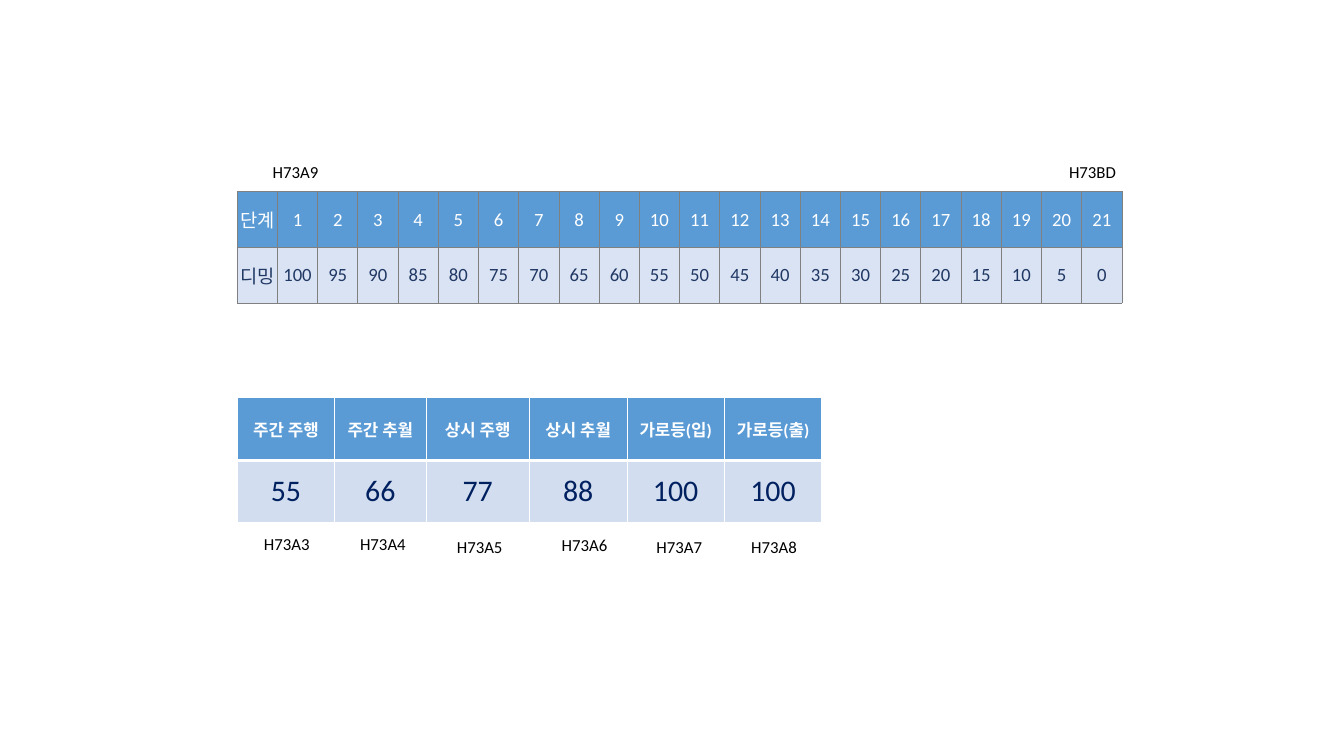
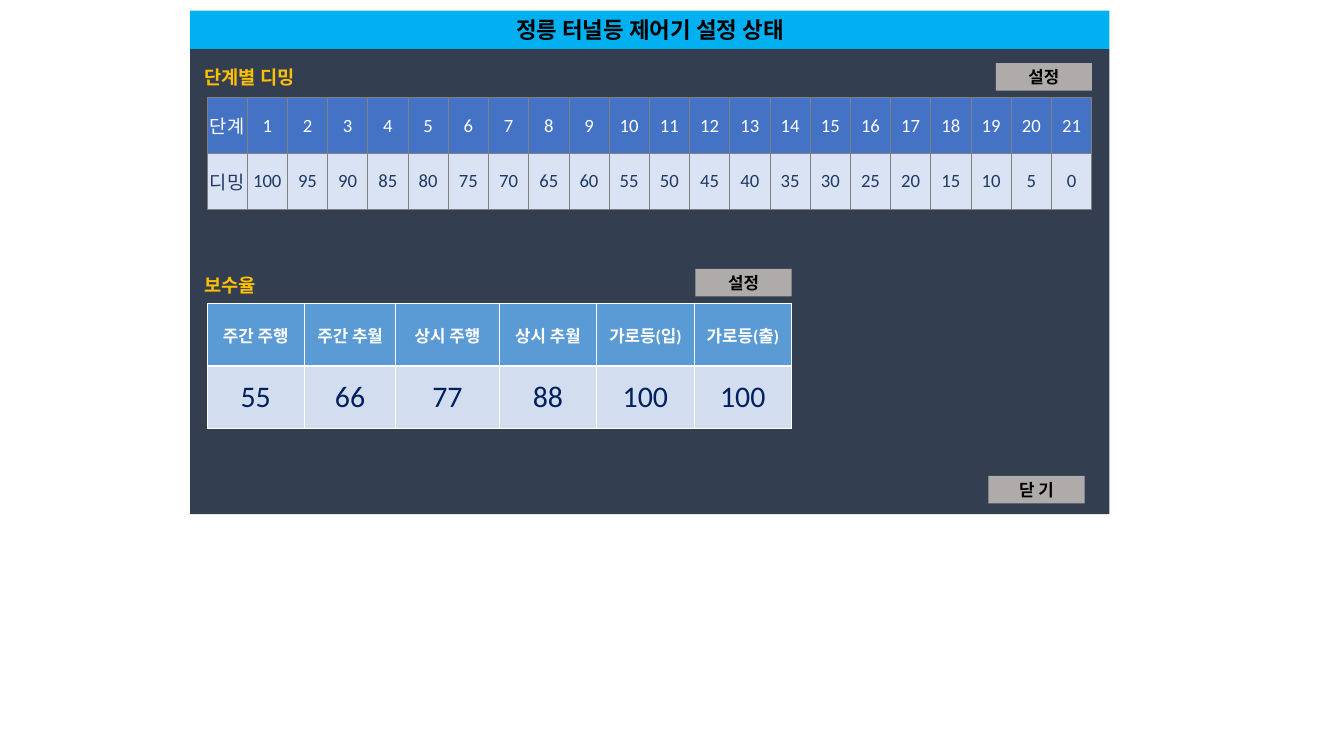
"""Build two slides on tunnel light dimming: the data tables and the settings panel."""
import pptx
import pptx.dml.color
import pptx.enum.shapes
import pptx.enum.text
import pptx.oxml
import pptx.oxml.ns
import pptx.util
from pptx.util import Inches

FONT = "Calibri"
BLACK, WHITE, GRAY = "000000", "FFFFFF", "808080"
BLUE, STRONG_BLUE = "5B9BD5", "4472C4"
PALE_BLUE, PALE_STEEL = "DAE3F3", "D2DEEF"
NAVY, DEEP_NAVY = "203864", "002060"
PANEL, SKY, BUTTON, AMBER = "333F50", "00B0F0", "AFABAB", "FFC000"

STEPS = ["단계"] + [str(step) for step in range(1, 22)]
DIMMING = ["디밍"] + [str(level) for level in range(100, -1, -5)]
LANES = [
    ("주간 주행", "55", 1.45),
    ("주간 추월", "66", 1.36),
    ("상시 주행", "77", 1.54),
    ("상시 추월", "88", 1.45),
    ("가로등(입)", "100", 1.45),
    ("가로등(출)", "100", 1.45),
]
ADDRESSES = [
    ("H73A9", 3.96, 2.36),
    ("H73BD", 15.81, 2.36),
    ("H73A3", 3.83, 7.9),
    ("H73A4", 5.26, 7.9),
    ("H73A5", 6.7, 7.94),
    ("H73A6", 8.26, 7.91),
    ("H73A7", 9.67, 7.94),
    ("H73A8", 11.08, 7.94),
]
PANEL_TITLE = "정릉 터널등 제어기 설정 상태"
SECTIONS = [("단계별 디밍", 0.84), ("보수율", 3.93)]
BUTTONS = [("설정", 10.35, 4), ("설정", 14.82, 0.94), ("닫 기", 14.71, 7.08)]

PANEL_LEFT, PANEL_WIDTH = 2.83, 13.68
TITLE_TOP, TITLE_HEIGHT, PANEL_HEIGHT = 0.16, 0.57, 6.92
STEP_WIDTH = 13.17 / len(STEPS)


def rgb(value):
    return pptx.dml.color.RGBColor.from_string(value)


def write(frame, text, size=18, color=BLACK, bold=False, align="CENTER"):
    paragraph = frame.paragraphs[0]
    paragraph.alignment = getattr(pptx.enum.text.PP_ALIGN, align)
    run = paragraph.add_run()
    run.text = text
    run.font.name = FONT
    run.font.size = pptx.util.Pt(size)
    run.font.bold = bold
    run.font.color.rgb = rgb(color)


def add_label(slide, text, left, top, width, height, wrap=True, **style):
    box = slide.shapes.add_textbox(*map(Inches, (left, top, width, height)))
    frame = box.text_frame
    frame.word_wrap = wrap
    if wrap:
        frame.vertical_anchor = pptx.enum.text.MSO_ANCHOR.MIDDLE
    else:
        frame.auto_size = pptx.enum.text.MSO_AUTO_SIZE.SHAPE_TO_FIT_TEXT
    write(frame, text, align="LEFT", **style)


def add_block(slide, left, top, width, height, fill, text=None, **style):
    block = slide.shapes.add_shape(
        pptx.enum.shapes.MSO_SHAPE.RECTANGLE, *map(Inches, (left, top, width, height)))
    block.shadow.inherit = False
    block.fill.solid()
    block.fill.fore_color.rgb = rgb(fill)
    block.line.fill.background()
    if text:
        block.text_frame.vertical_anchor = pptx.enum.text.MSO_ANCHOR.MIDDLE
        write(block.text_frame, text, bold=True, **style)


def set_borders(cell, color, bottom_width):
    properties = cell._tc.get_or_add_tcPr()
    for position, side in enumerate("LRTB"):
        width = pptx.util.Pt(bottom_width if side == "B" else 1)
        properties.insert(position, pptx.oxml.parse_xml(
            f'<a:ln{side} {pptx.oxml.ns.nsdecls("a")} w="{width}"><a:solidFill>'
            f'<a:srgbClr val="{color}"/></a:solidFill></a:ln{side}>'))


def add_grid(slide, left, top, widths, row_height, rows, border, margins=None):
    """Draw rows of (texts, fill, bottom border width, text style)."""
    table = slide.shapes.add_table(
        len(rows), len(widths), Inches(left), Inches(top),
        Inches(sum(widths)), Inches(row_height * len(rows))).table
    table.horz_banding = False
    for column, width in zip(table.columns, widths):
        column.width = Inches(width)
    for row, (texts, fill, bottom_width, style) in zip(table.rows, rows):
        row.height = Inches(row_height)
        for cell, text in zip(row.cells, texts):
            cell.fill.solid()
            cell.fill.fore_color.rgb = rgb(fill)
            cell.vertical_anchor = pptx.enum.text.MSO_ANCHOR.MIDDLE
            if margins:
                (cell.margin_left, cell.margin_top,
                 cell.margin_right, cell.margin_bottom) = map(Inches, margins)
            set_borders(cell, border, bottom_width)
            write(cell.text_frame, text, **style)


def add_dimming_table(slide, left, top, header_fill):
    rows = [
        (STEPS, header_fill, 1, {"size": 20, "color": WHITE}),
        (DIMMING, PALE_BLUE, 1, {"size": 20, "color": NAVY}),
    ]
    add_grid(slide, left, top, [STEP_WIDTH] * len(STEPS), 0.83, rows, GRAY,
             margins=(0.01, 0.01, 0.01, 0))


def add_lane_table(slide, left, top):
    names, rates, widths = zip(*LANES)
    rows = [
        (names, BLUE, 3, {"color": WHITE, "bold": True}),
        (rates, PALE_STEEL, 1, {"size": 32, "color": DEEP_NAVY}),
    ]
    add_grid(slide, left, top, widths, 0.93, rows, WHITE)


def build_address_slide(slide):
    add_dimming_table(slide, 3.53, 2.85, BLUE)
    add_lane_table(slide, 3.53, 5.92)
    for address, left, top in ADDRESSES:
        add_label(slide, address, left, top, 0.9, 0.4, wrap=False)


def build_panel_slide(slide):
    add_block(slide, PANEL_LEFT, TITLE_TOP + TITLE_HEIGHT, PANEL_WIDTH, PANEL_HEIGHT, PANEL)
    add_block(slide, PANEL_LEFT, TITLE_TOP, PANEL_WIDTH, TITLE_HEIGHT, SKY,
              PANEL_TITLE, size=24)
    add_lane_table(slide, 3.08, 4.52)
    add_dimming_table(slide, 3.08, 1.45, STRONG_BLUE)
    for section, top in SECTIONS:
        add_label(slide, section, 2.94, top, 2.95, 0.61, size=20, color=AMBER, bold=True)
    for caption, left, top in BUTTONS:
        add_block(slide, left, top, 1.43, 0.41, BUTTON, caption)


def main():
    deck = pptx.Presentation()
    deck.slide_width, deck.slide_height = Inches(20), Inches(11.25)
    blank = deck.slide_layouts[6]
    for build in (build_address_slide, build_panel_slide):
        build(deck.slides.add_slide(blank))
    deck.save("out.pptx")


if __name__ == "__main__":
    main()
